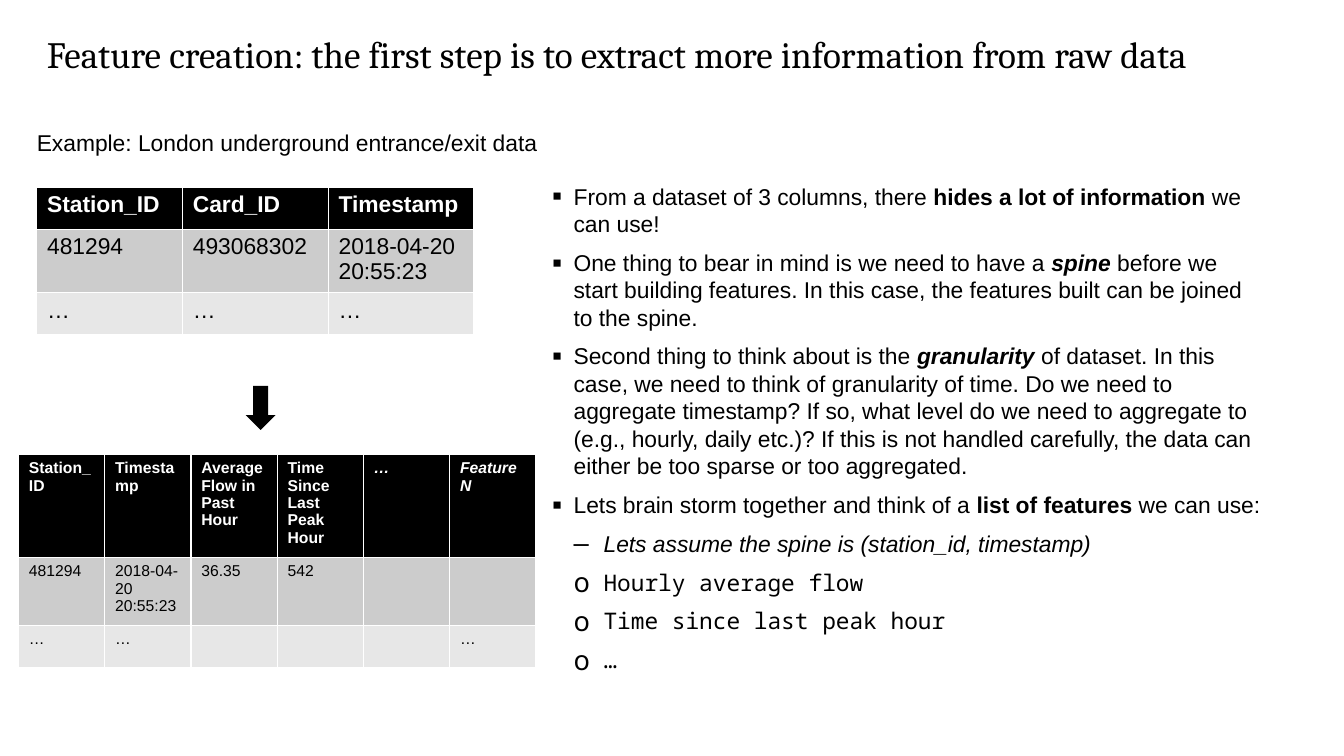
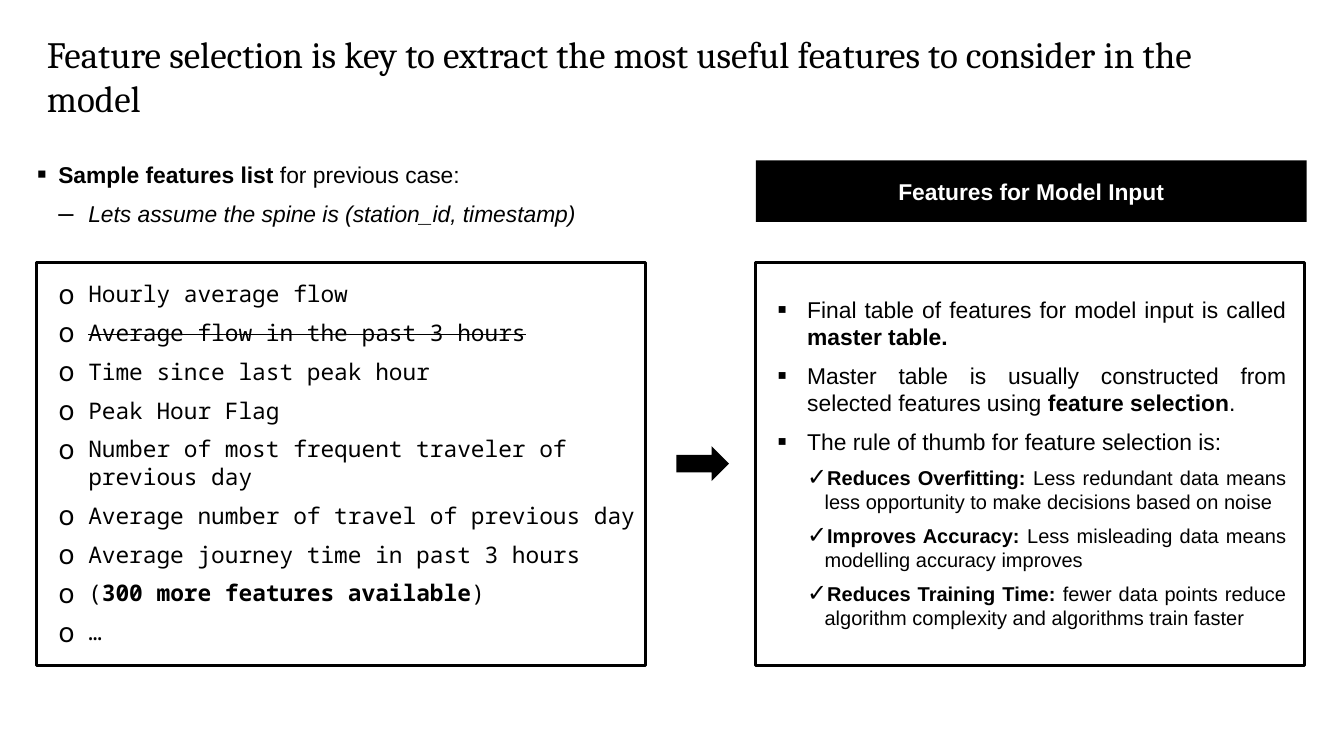
from dataclasses import dataclass

from lxml import etree
from pptx import Presentation
from pptx.dml.color import RGBColor
from pptx.enum.shapes import MSO_SHAPE
from pptx.enum.text import MSO_ANCHOR, MSO_AUTO_SIZE, PP_ALIGN
from pptx.oxml.ns import qn
from pptx.util import Cm, Pt

COLORS = {"black": "000000", "white": "FFFFFF", "band": "CCCCCC", "light": "E7E7E7"}
SANS, SERIF, MONO = "Arial", "Cambria", "Noto Sans Mono"
LEFT, CENTER, JUSTIFY = PP_ALIGN.LEFT, PP_ALIGN.CENTER, PP_ALIGN.JUSTIFY
TOP, MIDDLE = MSO_ANCHOR.TOP, MSO_ANCHOR.MIDDLE
RECTANGLE = MSO_SHAPE.RECTANGLE
DOWN_ARROW, RIGHT_ARROW = MSO_SHAPE.DOWN_ARROW, MSO_SHAPE.RIGHT_ARROW
CONTENT_LAYOUT, COMPARISON_LAYOUT = 1, 4
MARGIN = 0.91
RIGHT_COLUMN = 18.67


@dataclass
class ListStyle:
    """Bullet, indents in cm and text format of one kind of list item."""
    symbol: str
    level: int
    margin: float
    hanging: float
    percent: int = 120
    size: int = 16
    font: str = SANS
    italic: bool = False


POINT = ListStyle("▪", 0, 0.53, 0.53, percent=125)
DASH = ListStyle("–", 1, 1.27, 0.74, italic=True)
FEATURE = ListStyle("o", 1, 1.27, 0.74, font=MONO)
INNER_POINT = ListStyle("▪", 1, 1.27, 0.74)
CHECK = ListStyle("✓", 2, 1.7, 0.43, size=14)


def rgb(name):
    return RGBColor.from_string(COLORS[name])


def write_text(paragraph, text, size=16, font=SANS, color="black", bold=False,
               italic=False, align=LEFT, spacing=1.2, before=0):
    """Write a string, or a list of strings and (text, marks) pairs; marks are b, i, s."""
    paragraph.alignment = align
    paragraph.line_spacing = Pt(round(size * spacing, 1))
    paragraph.space_before = Pt(before)
    for part in [text] if isinstance(text, str) else text:
        words, marks = (part, "") if isinstance(part, str) else part
        run = paragraph.add_run()
        run.text = words
        run.font.name = font
        run.font.size = Pt(size)
        run.font.color.rgb = rgb(color)
        run.font.bold = bold or "b" in marks
        run.font.italic = italic or "i" in marks
        if "s" in marks:
            run._r.get_or_add_rPr().set("strike", "sngStrike")


def add_bullet(paragraph, style):
    paragraph.level = style.level
    properties = paragraph._p.get_or_add_pPr()
    properties.set("marL", str(Cm(style.margin)))
    properties.set("indent", str(-Cm(style.hanging)))
    color = etree.SubElement(properties, qn("a:buClr"))
    etree.SubElement(color, qn("a:srgbClr"), val=COLORS["black"])
    etree.SubElement(properties, qn("a:buSzPct"), val=str(style.percent * 1000))
    etree.SubElement(properties, qn("a:buFont"), typeface=style.font)
    etree.SubElement(properties, qn("a:buChar"), char=style.symbol)


def place(shape, left, top, width, height):
    shape.left, shape.top = Cm(left), Cm(top)
    shape.width, shape.height = Cm(width), Cm(height)


def prepare_frame(frame, inset_x=0, inset_y=0, anchor=TOP):
    frame.word_wrap = True
    frame.auto_size = MSO_AUTO_SIZE.NONE
    frame.vertical_anchor = anchor
    frame.margin_left = frame.margin_right = Cm(inset_x)
    frame.margin_top = frame.margin_bottom = Cm(inset_y)
    return frame


def add_slide(presentation, layout, title):
    slide = presentation.slides.add_slide(presentation.slide_layouts[layout])
    place(slide.shapes.title, MARGIN, 0.64, 31.34, 2.06)
    frame = prepare_frame(slide.shapes.title.text_frame, 0.25, 0.13)
    write_text(frame.paragraphs[0], title, size=26, font=SERIF)
    return slide


def fill_list(slide, index, box, items, align=LEFT):
    """Fill a body placeholder with (style, text) items and bring it to the front."""
    body = slide.placeholders[index]
    place(body, *box)
    slide.shapes._spTree.append(body._element)
    frame = prepare_frame(body.text_frame)
    for number, (style, text) in enumerate(items):
        paragraph = frame.add_paragraph() if number else frame.paragraphs[0]
        add_bullet(paragraph, style)
        write_text(paragraph, text, size=style.size, font=style.font, italic=style.italic,
                   align=align, before=style.size / 2 if number else 0)


def add_box(slide, kind, box, fill=None, line=None):
    shape = slide.shapes.add_shape(kind, *map(Cm, box))
    shape.shadow.inherit = False
    if fill:
        shape.fill.solid()
        shape.fill.fore_color.rgb = rgb(fill)
    else:
        shape.fill.background()
    if line:
        shape.line.color.rgb = rgb(line)
        shape.line.width = Pt(2)
    else:
        shape.line.fill.background()
    return shape


def add_data_table(slide, left, top, column_width, heights, rows, size):
    columns = len(rows[0])
    table = slide.shapes.add_table(len(rows), columns, Cm(left), Cm(top),
                                   Cm(column_width * columns), Cm(sum(heights))).table
    for column in table.columns:
        column.width = Cm(column_width)
    fills = ("black", "band", "light")
    for row_number, (row, height) in enumerate(zip(rows, heights)):
        table.rows[row_number].height = Cm(height)
        header = row_number == 0
        for column_number, text in enumerate(row):
            cell = table.cell(row_number, column_number)
            cell.fill.solid()
            cell.fill.fore_color.rgb = rgb(fills[row_number])
            if text:
                write_text(cell.text_frame.paragraphs[0], text, size=size, bold=header,
                           color="white" if header else "black", spacing=1.1)


def build_creation_slide(presentation):
    slide = add_slide(presentation, CONTENT_LAYOUT,
                      "Feature creation: the first step is to extract more information from raw data")

    # Raw data
    caption = slide.shapes.add_textbox(Cm(MARGIN), Cm(3.18), Cm(12.73), Cm(0.69))
    write_text(prepare_frame(caption.text_frame).paragraphs[0],
               "Example: London underground entrance/exit data")
    add_data_table(slide, MARGIN, 4.62, 3.6, (1.04, 1.57, 1.04), [
        ["Station_ID", "Card_ID", "Timestamp"],
        ["481294", "493068302", "2018-04-20 20:55:23"],
        ["…"] * 3,
    ], size=16)

    # Advice
    fill_list(slide, 1, (13.64, 4.5, 17.53, 13.34), [
        (POINT, ["From a dataset of 3 columns, there ",
                 ("hides a lot of information ", "b"), "we can use!"]),
        (POINT, ["One thing to bear in mind is we need to have a ", ("spine ", "bi"),
                 "before we start building features. In this case, the features built "
                 "can be joined to the spine."]),
        (POINT, ["Second thing to think about is the ", ("granularity", "bi"),
                 " of dataset. In this case, we need to think of granularity of time. "
                 "Do we need to aggregate timestamp? If so, what level do we need to "
                 "aggregate to (e.g., hourly, daily etc.)? If this is not handled "
                 "carefully, the data can either be too sparse or too aggregated."]),
        (POINT, ["Lets brain storm together and think of a ",
                 ("list of features ", "b"), "we can use:"]),
        (DASH, "Lets assume the spine is (station_id, timestamp)"),
        (FEATURE, "Hourly average flow"),
        (FEATURE, "Time since last peak hour"),
        (FEATURE, "…"),
    ])

    # Table of features
    add_box(slide, DOWN_ARROW, (6.07, 9.53, 0.74, 1.09), fill="black")
    add_data_table(slide, 0.46, 11.23, 2.13, (2.54, 1.68, 1.04), [
        ["Station_ID", "Timestamp", "Average Flow in Past Hour",
         "Time Since Last Peak Hour", [("…", "i")], [("Feature N", "i")]],
        ["481294", "2018-04-20 20:55:23", "36.35", "542", "", ""],
        ["…", "…", "", "", "", "…"],
    ], size=11)


def build_selection_slide(presentation):
    slide = add_slide(presentation, COMPARISON_LAYOUT,
                      "Feature selection is key to extract the most useful features "
                      "to consider in the model")
    unused = slide.placeholders[3]._element
    unused.getparent().remove(unused)

    # Sample features
    fill_list(slide, 1, (MARGIN, 3.96, 15.42, 2), [
        (POINT, [("Sample features list", "b"), " for previous case:"]),
        (DASH, "Lets assume the spine is (station_id, timestamp)"),
    ])
    add_box(slide, RECTANGLE, (MARGIN, 6.48, 15.04, 9.96), line="black")
    features = [
        "Hourly average flow",
        [("Average flow in the past 3 hours", "s")],
        "Time since last peak hour",
        "Peak Hour Flag",
        "Number of most frequent traveler of previous day",
        "Average number of travel of previous day",
        "Average journey time in past 3 hours",
        ["(", ("300 more features available", "b"), ")"],
        "…",
    ]
    fill_list(slide, 2, (MARGIN, 6.91, 15.42, 9.3), [(FEATURE, text) for text in features])
    add_box(slide, RIGHT_ARROW, (16.71, 11.02, 1.3, 0.86), fill="black")

    # Model input
    add_box(slide, RECTANGLE, (RIGHT_COLUMN, 6.48, 13.56, 9.96), fill="white", line="black")
    banner = add_box(slide, RECTANGLE, (RIGHT_COLUMN, 3.96, 13.61, 1.52), fill="black")
    write_text(prepare_frame(banner.text_frame, anchor=MIDDLE).paragraphs[0],
               "Features for Model Input", color="white", bold=True, align=CENTER)
    fill_list(slide, 4, (RIGHT_COLUMN, 7.29, 13.11, 8.59), [
        (INNER_POINT, ["Final table of features for model input is called ",
                       ("master table.", "b")]),
        (INNER_POINT, ["Master table is usually constructed from selected features using ",
                       ("feature selection", "b"), ". "]),
        (INNER_POINT, "The rule of thumb for feature selection is:"),
        (CHECK, [("Reduces Overfitting: ", "b"),
                 "Less redundant data means less opportunity to make decisions based on noise"]),
        (CHECK, [("Improves Accuracy: ", "b"),
                 "Less misleading data means modelling accuracy improves"]),
        (CHECK, [("Reduces Training Time: ", "b"),
                 "fewer data points reduce algorithm complexity and algorithms train faster "]),
    ], align=JUSTIFY)


def main():
    presentation = Presentation()
    presentation.slide_width, presentation.slide_height = Cm(33.2), Cm(18.67)
    build_creation_slide(presentation)
    build_selection_slide(presentation)
    presentation.save("out.pptx")


if __name__ == "__main__":
    main()
